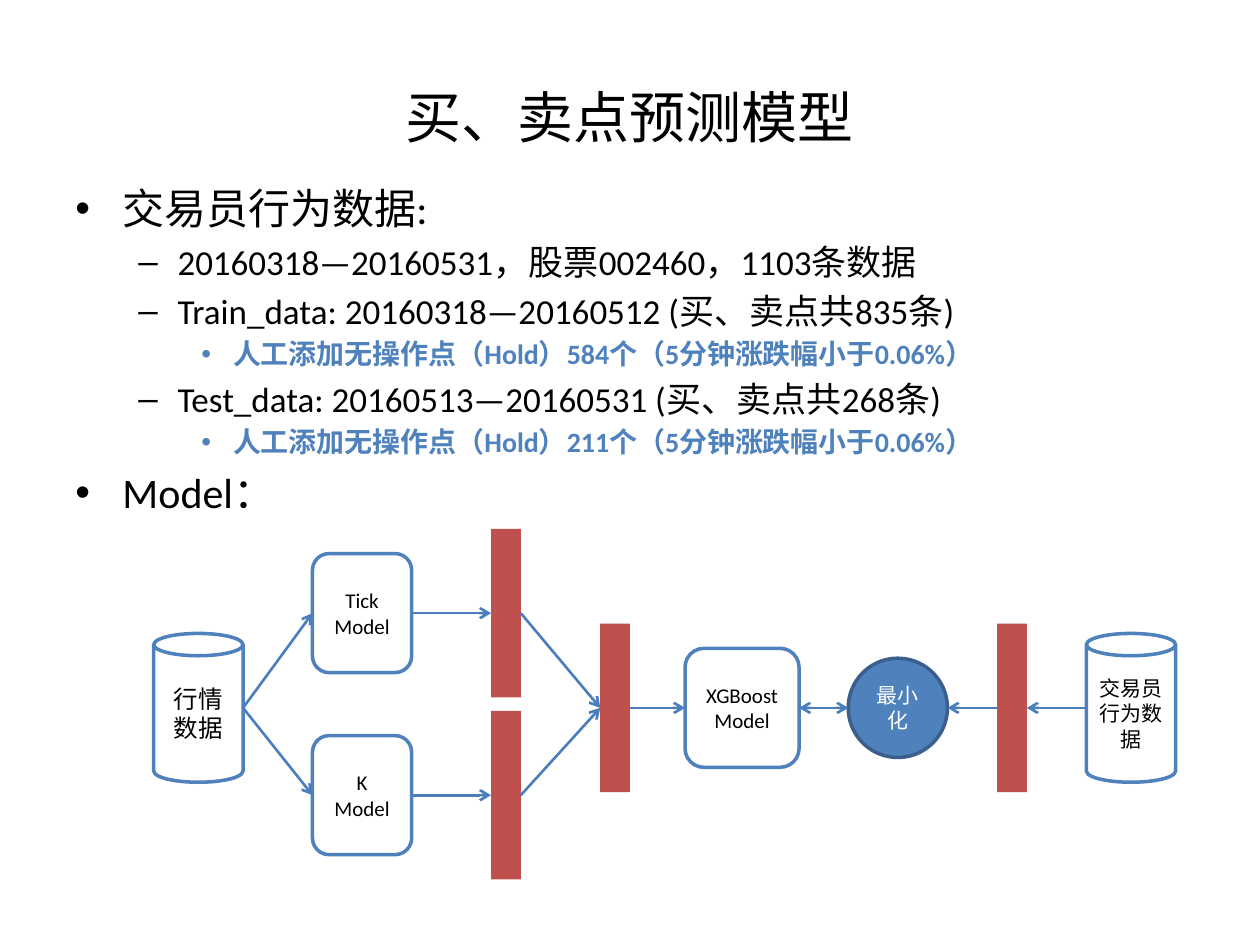
from lxml import etree
from pptx import Presentation
from pptx.dml.color import RGBColor
from pptx.enum.shapes import MSO_CONNECTOR, MSO_SHAPE
from pptx.enum.text import MSO_ANCHOR, PP_ALIGN
from pptx.oxml.ns import qn
from pptx.util import Cm, Pt

CAN = MSO_SHAPE.CAN
BAR = MSO_SHAPE.RECTANGLE
ROUNDED = MSO_SHAPE.ROUNDED_RECTANGLE
CIRCLE = MSO_SHAPE.OVAL
STRAIGHT = MSO_CONNECTOR.STRAIGHT
MIDDLE, TOP = MSO_ANCHOR.MIDDLE, MSO_ANCHOR.TOP
CENTER = PP_ALIGN.CENTER
LEFT_SIDE, RIGHT_SIDE = 1, 3

FONT = "Calibri"
COLORS = {
    "black": "000000",
    "white": "FFFFFF",
    "blue": "4F81BD",
    "dark_blue": "3A5F8C",
    "arrow": "4B7EBC",
    "red": "C0504D",
}
LEVELS = [
    {"mark": "•", "margin": 0.95, "hang": 0.95, "size": 24, "color": "black", "bold": False},
    {"mark": "–", "margin": 2.06, "hang": 0.79, "size": 20, "color": "black", "bold": False},
    {"mark": "•", "margin": 3.18, "hang": 0.64, "size": 16, "color": "blue", "bold": True},
]
BODY = [
    (0, "交易员行为数据:"),
    (1, "20160318—20160531，股票002460，1103条数据"),
    (1, "Train_data: 20160318—20160512 (买、卖点共835条)"),
    (2, "人工添加无操作点（Hold）584个（5分钟涨跌幅小于0.06%）"),
    (1, "Test_data: 20160513—20160531 (买、卖点共268条)"),
    (2, "人工添加无操作点（Hold）211个（5分钟涨跌幅小于0.06%）"),
    (0, "Model："),
]
TICK_Y, MAIN_Y, K_Y = 12.36, 14.27, 16.03
SIZES = {CAN: (1.8, 3), ROUNDED: (2, 2.4), BAR: (0.6, 3.4), CIRCLE: (2, 2)}


def rgb(name):
    return RGBColor.from_string(COLORS[name])


def add_span(para, text, size, color, bold=False):
    span = para.add_run()
    span.text = text
    span.font.name = FONT
    span.font.size = Pt(size)
    span.font.bold = bold
    span.font.color.rgb = rgb(color)


def add_box(page, left, top, width, height, anchor):
    box = page.shapes.add_textbox(Cm(left), Cm(top), Cm(width), Cm(height))
    box.text_frame.word_wrap = True
    box.text_frame.vertical_anchor = anchor
    return box.text_frame


def add_title(page, text):
    para = add_box(page, 1.27, 0.76, 22.86, 3.18, MIDDLE).paragraphs[0]
    para.alignment = CENTER
    add_span(para, text, 32, "black")


def set_bullet(para, level):
    props = para._p.get_or_add_pPr()
    props.set("marL", str(Cm(level["margin"])))
    props.set("indent", str(-Cm(level["hang"])))
    etree.SubElement(props, qn("a:buFont")).set("typeface", "Arial")
    etree.SubElement(props, qn("a:buChar")).set("char", level["mark"])


def add_body(page, lines):
    frame = add_box(page, 1.27, 3.56, 22.86, 14.58, TOP)
    for number, (depth, text) in enumerate(lines):
        level = LEVELS[depth]
        para = frame.add_paragraph() if number else frame.paragraphs[0]
        para.level = depth
        set_bullet(para, level)
        if number:
            para.space_before = Pt(level["size"] * 0.2)
        add_span(para, text, level["size"], level["color"], level["bold"])


def add_node(group, kind, x, y, text="", size=12, width=None,
             fill="white", line="blue", color="black"):
    default_width, height = SIZES[kind]
    width = width or default_width
    node = group.shapes.add_shape(
        kind, Cm(x - width / 2), Cm(y - height / 2), Cm(width), Cm(height))
    node.shadow.inherit = False
    node.fill.solid()
    node.fill.fore_color.rgb = rgb(fill)
    if line:
        node.line.color.rgb = rgb(line)
        node.line.width = Pt(2)
    else:
        node.line.fill.background()
    if text:
        frame = node.text_frame
        frame.word_wrap = True
        frame.vertical_anchor = MIDDLE
        frame.paragraphs[0].alignment = CENTER
        add_span(frame.paragraphs[0], text, size, color)
    return node


def add_bar(group, x, y):
    return add_node(group, BAR, x, y, fill="red", line=None)


def side_point(node, side):
    x = node.left if side == LEFT_SIDE else node.left + node.width
    return x, node.top + node.height // 2


def add_arrow(group, start, end, both_ways=False):
    sides = (RIGHT_SIDE, LEFT_SIDE) if start.left < end.left else (LEFT_SIDE, RIGHT_SIDE)
    arrow = group.shapes.add_connector(
        STRAIGHT, *side_point(start, sides[0]), *side_point(end, sides[1]))
    if start.auto_shape_type in (BAR, ROUNDED):
        arrow.begin_connect(start, sides[0])
    if end.auto_shape_type in (BAR, ROUNDED):
        arrow.end_connect(end, sides[1])
    arrow.line.color.rgb = rgb("arrow")
    arrow.line.width = Pt(1.5)
    line = arrow.line._get_or_add_ln()
    for tag in ("a:headEnd", "a:tailEnd") if both_ways else ("a:tailEnd",):
        etree.SubElement(line, qn(tag)).set("type", "arrow")
    etree.SubElement(arrow._element.spPr, qn("a:effectLst"))


def add_model_diagram(page):
    group = page.shapes.add_group_shape()
    market = add_node(group, CAN, 4, MAIN_Y, "行情数据", size=14)
    merged = add_bar(group, 12.4, MAIN_Y)
    for name, y in (("Tick Model", TICK_Y), ("K Model", K_Y)):
        model = add_node(group, ROUNDED, 7.3, y, name)
        features = add_bar(group, 10.2, y)
        add_arrow(group, market, model)
        add_arrow(group, model, features)
        add_arrow(group, features, merged)
    booster = add_node(group, ROUNDED, 14.96, MAIN_Y, "XGBoost Model", width=2.3)
    minimum = add_node(group, CIRCLE, 18.1, MAIN_Y, "最小化",
                       fill="blue", line="dark_blue", color="white")
    labels = add_bar(group, 20.4, MAIN_Y)
    trader = add_node(group, CAN, 22.8, MAIN_Y, "交易员行为数据")
    add_arrow(group, merged, booster)
    add_arrow(group, booster, minimum, both_ways=True)
    add_arrow(group, labels, minimum)
    add_arrow(group, trader, labels)


def main():
    deck = Presentation()
    deck.slide_width, deck.slide_height = Cm(25.4), Cm(19.05)
    page = deck.slides.add_slide(deck.slide_layouts[6])
    add_title(page, "买、卖点预测模型")
    add_body(page, BODY)
    add_model_diagram(page)
    deck.save("out.pptx")


if __name__ == "__main__":
    main()
